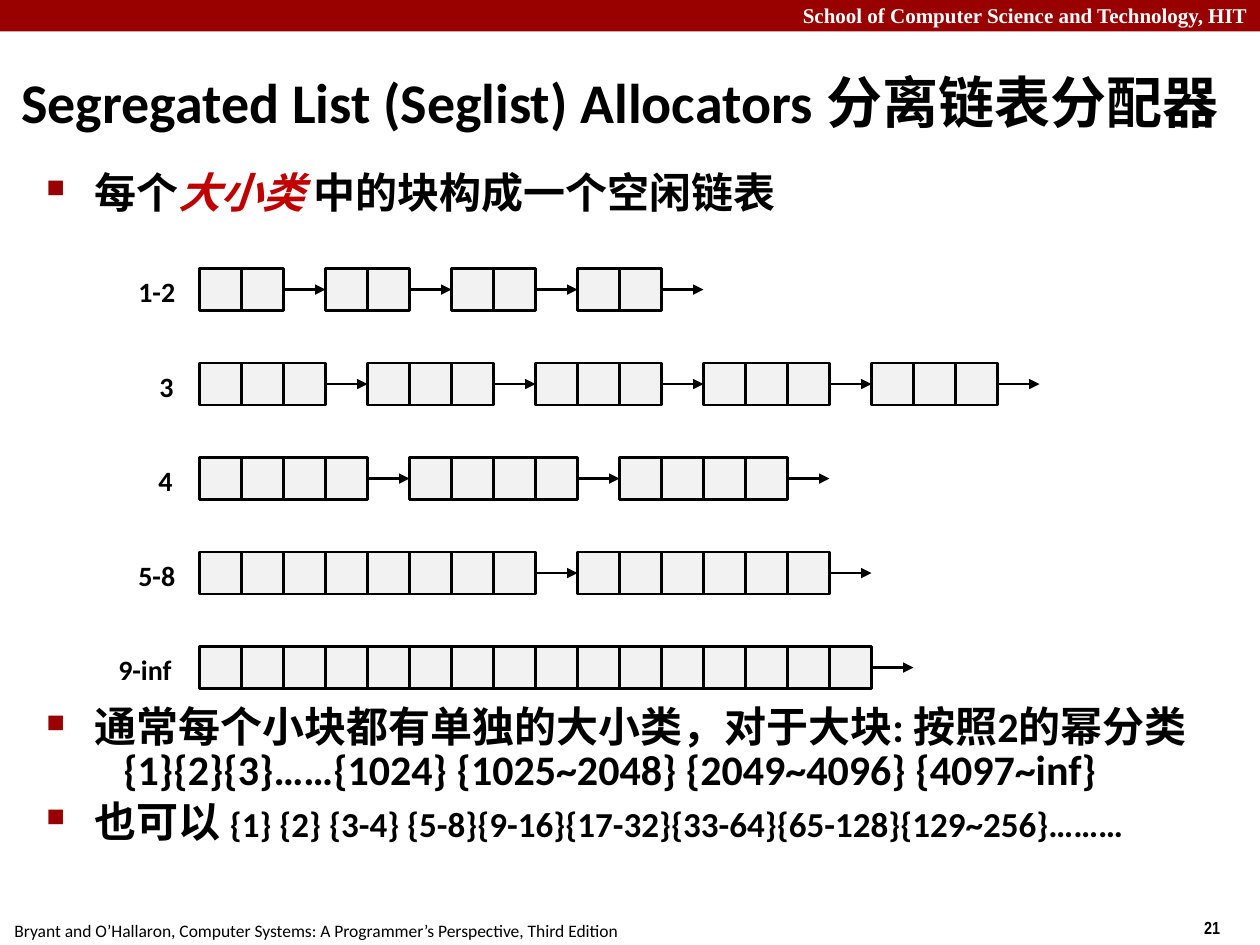
from pptx import Presentation
from pptx.dml.color import RGBColor
from pptx.enum.shapes import MSO_CONNECTOR, MSO_SHAPE
from pptx.enum.text import MSO_ANCHOR, PP_ALIGN
from pptx.oxml.ns import qn
from pptx.util import Pt
from lxml.etree import SubElement

BLACK = RGBColor(0, 0, 0)
WHITE = RGBColor(0xFF, 0xFF, 0xFF)
DARK_RED = RGBColor(0x99, 0, 0)
RED = RGBColor(0xC0, 0, 0)
LIGHT_GRAY = RGBColor(0xF2, 0xF2, 0xF2)

presentation = Presentation()
presentation.slide_width = Pt(720)
presentation.slide_height = Pt(540)
slide = presentation.slides.add_slide(presentation.slide_layouts[6])
shapes = slide.shapes


def add_text_box(left, top, width, height, wrap=True):
    frame = shapes.add_textbox(Pt(left), Pt(top), Pt(width), Pt(height)).text_frame
    frame.word_wrap = wrap
    return frame


def add_run(paragraph, text, size, bold=True, color=BLACK, font="Calibri"):
    run = paragraph.add_run()
    run.text = text
    run.font.name = font
    run.font.size = Pt(size)
    run.font.bold = bold
    run.font.color.rgb = color
    return run


# Header band
band = shapes.add_shape(MSO_SHAPE.RECTANGLE, Pt(0), Pt(0), Pt(720), Pt(18))
band.shadow.inherit = False
band.fill.solid()
band.fill.fore_color.rgb = DARK_RED
band.line.fill.background()
header = add_text_box(0, -2, 720, 22).paragraphs[0]
header.alignment = PP_ALIGN.RIGHT
add_run(header, "School of Computer Science and Technology, HIT", 12,
        color=WHITE, font="Times New Roman")

# Footer and slide number
footer = add_text_box(1.2, 522, 361, 19.4, wrap=False).paragraphs[0]
add_run(footer, "Bryant and O’Hallaron, Computer Systems: A Programmer’s Perspective, "
        "Third Edition", 10, bold=False)
number = add_text_box(681, 520.6, 54, 19.4, wrap=False).paragraphs[0]
add_run(number, "21", 10, font="Arial Narrow")

# Title
title_frame = add_text_box(5, 38, 711.5, 45.5)
title_frame.vertical_anchor = MSO_ANCHOR.MIDDLE
title = title_frame.paragraphs[0]
title.line_spacing = 0.87
add_run(title, "Segregated List (Seglist) Allocators 分离链表分配器", 32)

# Bulleted text above and below the lists
intro_frame = add_text_box(19.4, 95.8, 703.4, 40)
notes_frame = add_text_box(19.4, 401.4, 703.4, 100)
intro = intro_frame.paragraphs[0]
size_rule = notes_frame.paragraphs[0]
size_classes = notes_frame.add_paragraph()
alternative = notes_frame.add_paragraph()

for paragraph in (intro, size_rule, alternative):
    properties = paragraph._p.get_or_add_pPr()
    properties.set("marL", str(Pt(27.4)))
    properties.set("indent", str(Pt(-27.4)))
    bullet_color = SubElement(properties, qn("a:buClr"))
    SubElement(bullet_color, qn("a:srgbClr"), val=str(DARK_RED))
    SubElement(properties, qn("a:buSzPct"), val="60000")
    SubElement(properties, qn("a:buChar"), char="■")
    paragraph.line_spacing = 0.85
size_classes._p.get_or_add_pPr().set("marL", str(Pt(44)))
size_classes.line_spacing = 0.85
alternative.space_before = Pt(5)

add_run(intro, "每个", 24)
add_run(intro, "大小类 ", 24, color=RED).font.italic = True
add_run(intro, "中的块构成一个空闲链表", 24)
add_run(size_rule, "通常每个小块都有单独的大小类，对于大块: 按照2的幂分类", 24)
add_run(size_classes, "{1}{2}{3}……{1024} {1025~2048} {2049~4096} {4097~inf}", 24)
add_run(alternative, "也可以 ", 24)
add_run(alternative, "{1} {2} {3-4} {5-8}{9-16}{17-32}{33-64}{65-128}{129~256}………", 20)

# Free lists: label, label left, words in each block
CELL = 24
FIRST_LEFT, FIRST_TOP, ROW_STEP = 114, 153.5, 54
free_lists = [
    ("1-2", 72, [2] * 4),
    ("3", 84, [3] * 5),
    ("4", 83.5, [4] * 3),
    ("5-8", 72, [8, 6]),
    ("9-inf", 60.5, [16]),
]

for row, (label, label_left, blocks) in enumerate(free_lists):
    top = FIRST_TOP + row * ROW_STEP
    middle = top + CELL / 2
    label_frame = add_text_box(label_left, top, FIRST_LEFT - label_left, 26.6)
    label_frame.margin_right = 0
    add_run(label_frame.paragraphs[0], label, 16)

    left = FIRST_LEFT
    arrow = None
    for words in blocks:
        for word in range(words):
            cell = shapes.add_shape(MSO_SHAPE.RECTANGLE, Pt(left), Pt(top), Pt(CELL), Pt(CELL))
            cell.shadow.inherit = False
            cell.fill.solid()
            cell.fill.fore_color.rgb = LIGHT_GRAY
            cell.line.color.rgb = BLACK
            cell.line.width = Pt(1.5)
            if word == 0 and arrow is not None:
                arrow.end_connect(cell, 1)
            left += CELL

        # Pointer to the next block, one cell long
        arrow = shapes.add_connector(MSO_CONNECTOR.STRAIGHT, Pt(left), Pt(middle),
                                     Pt(left + CELL), Pt(middle))
        arrow.begin_connect(cell, 3)
        arrow.line.color.rgb = BLACK
        arrow.line.width = Pt(1.5)
        SubElement(arrow.line._get_or_add_ln(), qn("a:tailEnd"), type="triangle")
        SubElement(arrow._element.spPr, qn("a:effectLst"))
        left += CELL

presentation.save("out.pptx")
